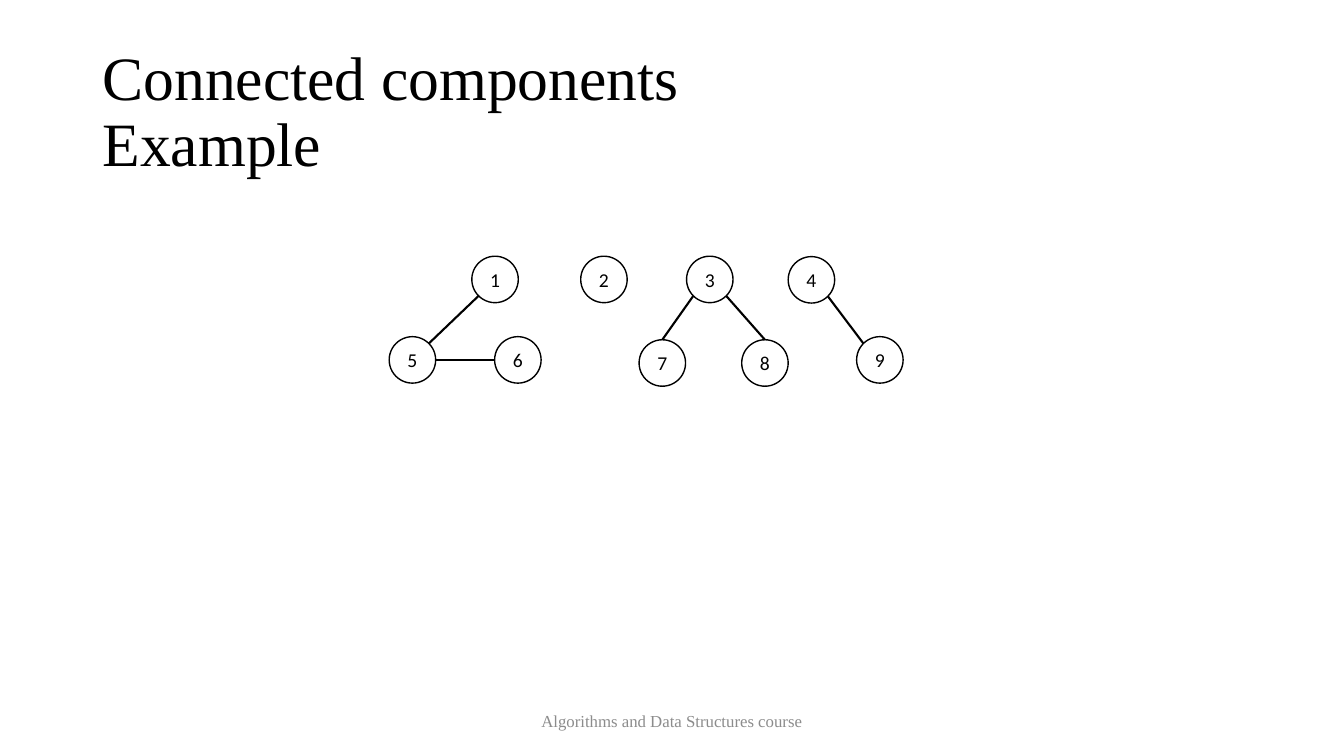
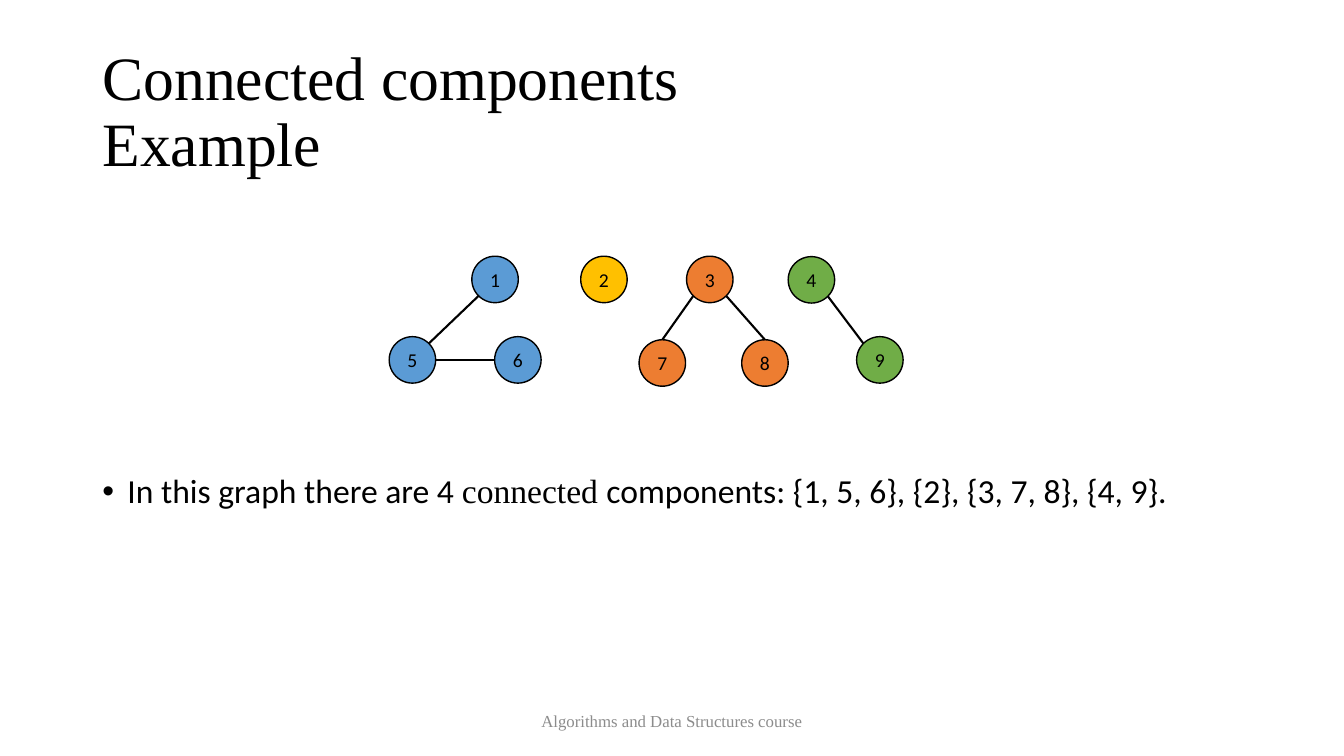
import math

import lxml.etree
import pptx
import pptx.dml.color
import pptx.enum.shapes
import pptx.enum.text
import pptx.oxml.ns
import pptx.util

Pt = pptx.util.Pt
RGB = pptx.dml.color.RGBColor.from_string
ALIGN = pptx.enum.text.PP_ALIGN
ANCHOR = pptx.enum.text.MSO_ANCHOR
SHAPE = pptx.enum.shapes.MSO_SHAPE
LINE = pptx.enum.shapes.MSO_CONNECTOR
qn = pptx.oxml.ns.qn

COLORS = {
    "black": "000000", "white": "FFFFFF", "gray": "8C8C8C", "blue": "5B9BD5",
    "gold": "FFC000", "orange": "ED7D31", "green": "70AD47",
}
SERIF, SANS = "Times New Roman", "Calibri"

SIZE = 33.2  # node diameter
TOP, LOW, LOWER = 183, 240.5, 242.7
NODES = {
    1: (337, TOP), 2: (414.8, TOP), 3: (490.4, TOP), 4: (563, 183.3),
    5: (278, LOW), 6: (353.3, LOW), 7: (456.5, LOWER), 8: (529.8, LOWER),
    9: (611.9, LOW),
}
# Node and angle in degrees where each edge starts and ends
EDGES = [
    (1, 225, 5, 45), (5, 0, 6, 180), (3, 225, 7, 90),
    (3, 315, 8, 90), (4, 315, 9, 135),
]
PARTS = {"blue": [1, 5, 6], "gold": [2], "orange": [3, 7, 8], "green": [4, 9]}


def write(shape, *runs, size, font=SANS, color="black", align=ALIGN.CENTER,
          anchor=ANCHOR.MIDDLE, space=None, before=0, inset=None, bullet=None):
    """Fill a shape with one paragraph; a run is a text or a (text, font) pair."""
    frame = shape.text_frame
    frame.word_wrap = True
    frame.auto_size = pptx.enum.text.MSO_AUTO_SIZE.NONE
    frame.vertical_anchor = anchor
    if inset is not None:
        frame.margin_left = frame.margin_right = Pt(inset)
        frame.margin_top = frame.margin_bottom = Pt(inset)
    para = frame.paragraphs[0]
    para.alignment = align
    para.space_before = Pt(before)
    if space:
        para.line_spacing = space
    if bullet:
        props = para._p.get_or_add_pPr()
        props.set("marL", str(Pt(18)))
        props.set("indent", str(Pt(-18)))
        lxml.etree.SubElement(props, qn("a:buFont")).set("typeface", "Arial")
        lxml.etree.SubElement(props, qn("a:buChar")).set("char", bullet)
    for item in runs:
        text, face = (item, font) if isinstance(item, str) else item
        for i, line in enumerate(text.split("\n")):
            if i:
                para.add_line_break()
            run = para.add_run()
            run.text = line
            run.font.name = face
            run.font.size = Pt(size)
            run.font.color.rgb = RGB(COLORS[color])


def rim(node, angle):
    """Point on the circle of a node, y pointing down."""
    left, top = NODES[node]
    turn, half = math.radians(angle), SIZE / 2
    return (Pt(left + half + half * math.cos(turn)),
            Pt(top + half - half * math.sin(turn)))


deck = pptx.Presentation()
deck.slide_width, deck.slide_height = Pt(960), Pt(540)

for solved in (False, True):
    slide = deck.slides.add_slide(deck.slide_layouts[5])
    shapes = slide.shapes

    title = shapes.title
    title.left, title.top, title.width, title.height = Pt(66), Pt(28.75), Pt(828), Pt(104.4)
    write(title, "Connected components\nExample", size=44, font=SERIF,
          align=ALIGN.LEFT, space=0.9)

    footer = shapes.add_textbox(Pt(318), Pt(500.5), Pt(324), Pt(28.75))
    write(footer, "Algorithms and Data Structures course", size=12, font=SERIF,
          color="gray")

    if solved:
        body = shapes.add_textbox(Pt(66), Pt(335.5), Pt(828), Pt(150.5))
        write(body, "In this graph there are 4 ", ("connected ", SERIF),
              "components: {1, 5, 6}, {2}, {3, 7, 8}, {4, 9}.", size=24,
              align=ALIGN.LEFT, anchor=ANCHOR.TOP, space=0.9, before=10, bullet="•")

    for color, nodes in PARTS.items():
        for node in nodes:
            left, top = NODES[node]
            disc = shapes.add_shape(SHAPE.OVAL, Pt(left), Pt(top), Pt(SIZE), Pt(SIZE))
            disc.shadow.inherit = False
            disc.fill.solid()
            disc.fill.fore_color.rgb = RGB(COLORS[color if solved else "white"])
            disc.line.color.rgb = RGB(COLORS["black"])
            disc.line.width = Pt(1)
            write(disc, str(node), size=14, inset=0)

    for start, out, end, into in EDGES:
        edge = shapes.add_connector(LINE.STRAIGHT, *rim(start, out), *rim(end, into))
        edge.line.color.rgb = RGB(COLORS["black"])
        edge.line.width = Pt(1.5)
        lxml.etree.SubElement(edge._element.spPr, qn("a:effectLst"))

deck.save("out.pptx")
